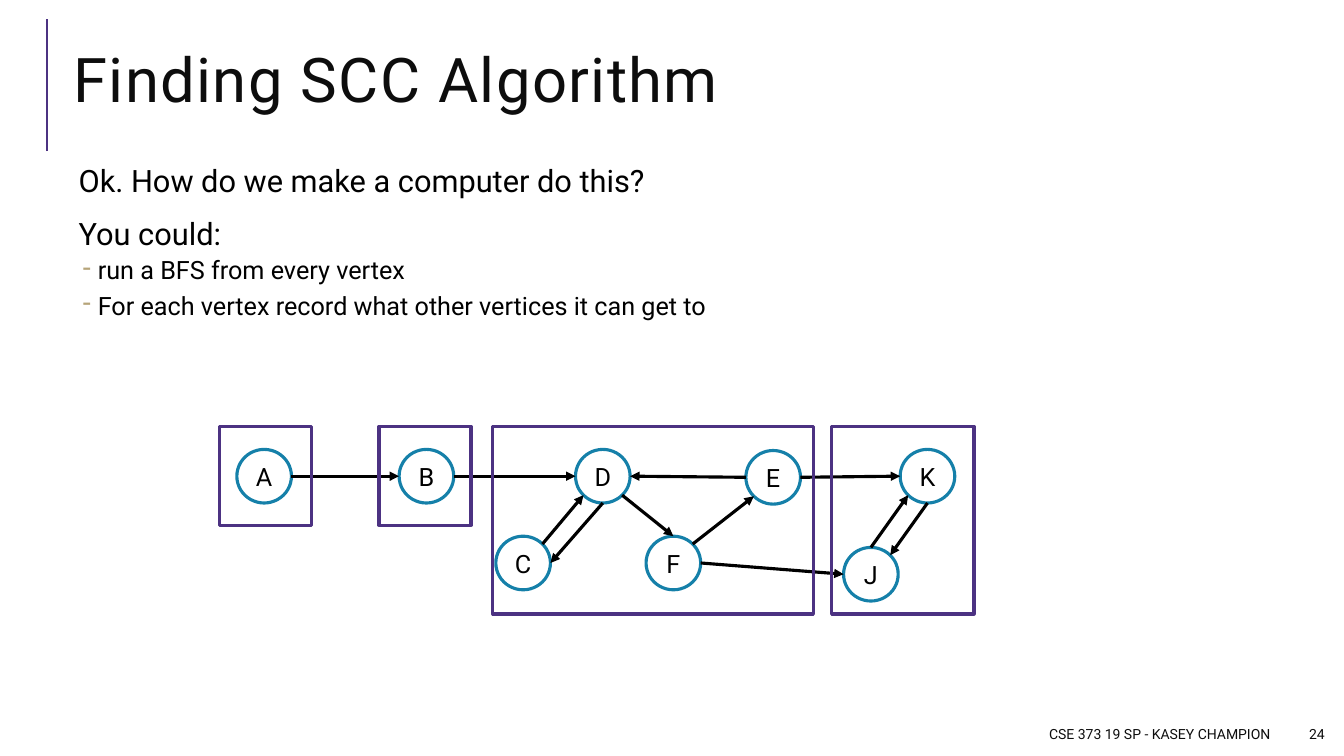
from math import cos, radians, sin

from lxml import etree
from pptx import Presentation
from pptx.dml.color import RGBColor
from pptx.enum.shapes import MSO_CONNECTOR, MSO_SHAPE
from pptx.enum.text import MSO_ANCHOR, PP_ALIGN
from pptx.oxml.ns import qn
from pptx.util import Pt

STRAIGHT = MSO_CONNECTOR.STRAIGHT
OVAL, RECTANGLE = MSO_SHAPE.OVAL, MSO_SHAPE.RECTANGLE
TOP, MIDDLE = MSO_ANCHOR.TOP, MSO_ANCHOR.MIDDLE
LEFT, CENTER, RIGHT = PP_ALIGN.LEFT, PP_ALIGN.CENTER, PP_ALIGN.RIGHT

COLORS = {
    "purple": "4C3282",
    "blue": "1580A9",
    "tan": "B6A479",
    "ink": "0D0D0D",
    "black": "000000",
    "white": "FFFFFF",
}
NODE_WIDTH, NODE_HEIGHT = 39, 38.3
ANGLES = {"e": 0, "ne": 45, "n": 90, "nw": 135, "w": 180, "sw": 225, "s": 270, "se": 315}
NODES = {
    "A": (169.2, 321),
    "B": (285.1, 321),
    "C": (354.2, 383),
    "D": (411.1, 321),
    "E": (532.8, 321.8),
    "F": (461.5, 383),
    "J": (602.6, 391),
    "K": (643, 321),
}
EDGES = [
    ("A", "e", "B", "w"),
    ("B", "e", "D", "w"),
    ("C", "ne", "D", "sw"),
    ("D", "s", "C", "e"),
    ("D", "se", "F", "n"),
    ("F", "ne", "E", "sw"),
    ("E", "w", "D", "e"),
    ("E", "e", "K", "w"),
    ("F", "e", "J", "w"),
    ("K", "s", "J", "ne"),
    ("J", "n", "K", "sw"),
]
COMPONENT_TOP = 304.6
COMPONENTS = [(157, 65.8, 70.6), (270.7, 65.8, 70.6), (352, 229, 134), (594, 101.8, 134)]
QUESTIONS = ["Ok. How do we make a computer do this?", "You could:"]
STEPS = ["run a BFS from every vertex", "For each vertex record what other vertices it can get to"]


def color(name):
    return RGBColor.from_string(COLORS[name])


def node_point(name, side):
    left, top = NODES[name]
    angle = radians(ANGLES[side])
    return (left + NODE_WIDTH / 2 * (1 + cos(angle)),
            top + NODE_HEIGHT / 2 * (1 - sin(angle)))


class SlideBuilder:
    font = "Roboto"

    def __init__(self, page):
        self.page = page

    def frame(self, left, top, width, height, anchor=MIDDLE, inset=None):
        box = self.page.shapes.add_textbox(Pt(left), Pt(top), Pt(width), Pt(height))
        frame = box.text_frame
        frame.word_wrap = True
        frame.vertical_anchor = anchor
        if inset is not None:
            frame.margin_left = frame.margin_right = Pt(inset)
            frame.margin_top = frame.margin_bottom = Pt(inset)
        return frame

    def add_text(self, para, text, size, fill="black", align=LEFT, tracking=None):
        para.alignment = align
        span = para.add_run()
        span.text = text
        span.font.name = self.font
        span.font.size = Pt(size)
        span.font.color.rgb = color(fill)
        if tracking:
            span._r.get_or_add_rPr().set("spc", str(tracking * 100))

    def spacing(self, para, before, after):
        para.line_spacing = 0.9
        para.space_before = Pt(before)
        para.space_after = Pt(after)

    def indent(self, para, margin, hanging=0, bullet=None):
        properties = para._p.get_or_add_pPr()
        properties.set("marL", str(Pt(margin)))
        properties.set("indent", str(-Pt(hanging)))
        if bullet:
            tint = etree.SubElement(properties, qn("a:buClr"))
            etree.SubElement(tint, qn("a:srgbClr"), val=COLORS["tan"])
            etree.SubElement(properties, qn("a:buChar"), char=bullet)

    def label(self, text, left, top, width, height, size, align=LEFT, tracking=None):
        para = self.frame(left, top, width, height).paragraphs[0]
        self.add_text(para, text, size, "ink", align, tracking)
        return para

    def shape(self, kind, left, top, width, height, outline, fill=None):
        shape = self.page.shapes.add_shape(kind, Pt(left), Pt(top), Pt(width), Pt(height))
        shape.shadow.inherit = False
        if fill:
            shape.fill.solid()
            shape.fill.fore_color.rgb = color(fill)
        else:
            shape.fill.background()
        shape.line.color.rgb = color(outline)
        shape.line.width = Pt(2.25)
        return shape

    def node(self, name):
        left, top = NODES[name]
        circle = self.shape(OVAL, left, top, NODE_WIDTH, NODE_HEIGHT, "blue", "white")
        frame = circle.text_frame
        frame.vertical_anchor = MIDDLE
        self.add_text(frame.paragraphs[0], name, 18, align=CENTER)

    def line(self, start, end, stroke="black", width=2.25, arrow=True):
        points = [Pt(value) for value in (*start, *end)]
        connector = self.page.shapes.add_connector(STRAIGHT, *points)
        connector.line.color.rgb = color(stroke)
        connector.line.width = Pt(width)
        if arrow:
            outline = connector.line._get_or_add_ln()
            etree.SubElement(outline, qn("a:tailEnd"), type="triangle")
        etree.SubElement(connector._element.spPr, qn("a:effectLst"))


def main():
    deck = Presentation()
    deck.slide_width, deck.slide_height = Pt(960), Pt(540)
    slide = SlideBuilder(deck.slides.add_slide(deck.slide_layouts[6]))

    slide.line((33.8, 108), (33.8, 13.7), "purple", 1.5, arrow=False)
    title = slide.label("Finding SCC Algorithm", 45.4, 20.9, 880.6, 79.9, 44, tracking=1)
    title.line_spacing = 0.8

    body = slide.frame(45.4, 115.2, 880.6, 381.6, TOP, 3.6)
    for index, question in enumerate(QUESTIONS):
        para = body.add_paragraph() if index else body.paragraphs[0]
        slide.indent(para, 7.2)
        slide.spacing(para, 12 if index else 0, 2)
        slide.add_text(para, question, 22)
    for step in STEPS:
        para = body.add_paragraph()
        para.level = 1
        slide.indent(para, 20.9, 10.8, "-")
        slide.spacing(para, 2, 4)
        slide.add_text(para, step, 18)

    slide.label("CSE 373 19 SP - KASEY CHAMPION", 450, 513.4, 464.4, 21.6, 10, RIGHT)
    slide.label("24", 920.2, 513.4, 33.1, 21.6, 10, RIGHT)

    for name in NODES:
        slide.node(name)
    for source, source_side, target, target_side in EDGES:
        slide.line(node_point(source, source_side), node_point(target, target_side))
    for left, width, height in COMPONENTS:
        slide.shape(RECTANGLE, left, COMPONENT_TOP, width, height, "purple")

    deck.save("out.pptx")


if __name__ == "__main__":
    main()
